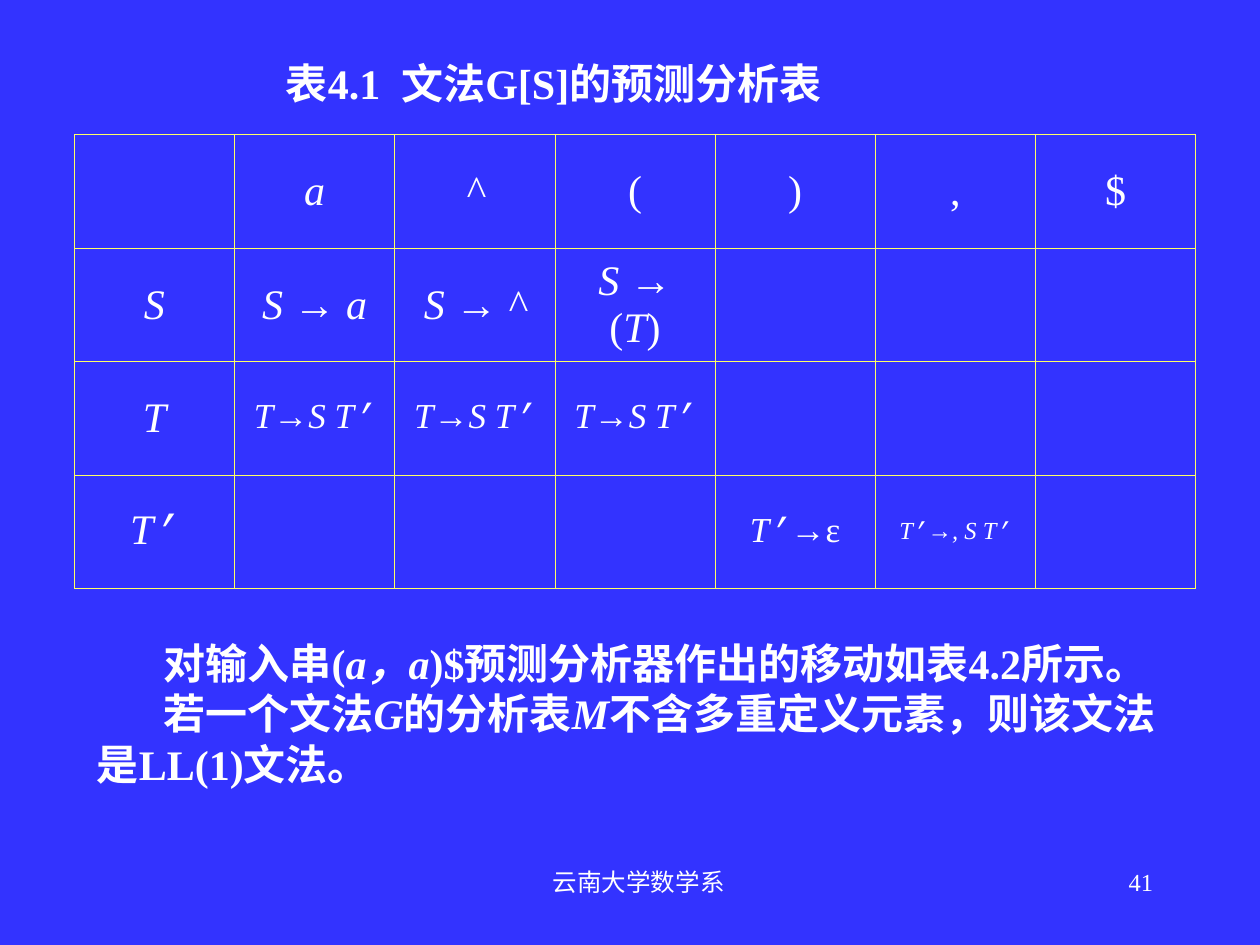
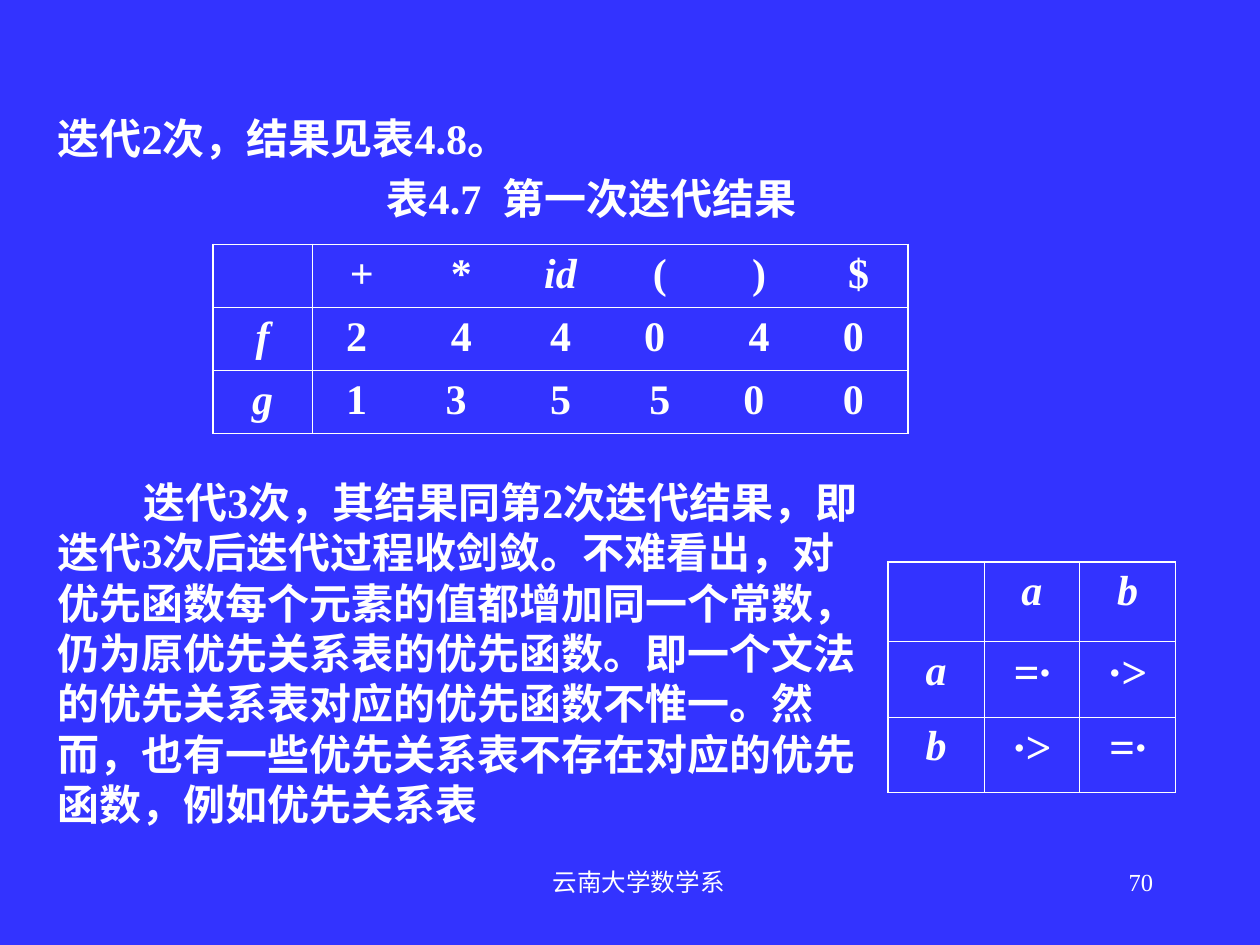
from dataclasses import dataclass, field
from itertools import groupby

from lxml.etree import SubElement
from pptx import Presentation
from pptx.dml.color import RGBColor
from pptx.enum.text import MSO_ANCHOR, PP_ALIGN
from pptx.oxml.ns import qn
from pptx.util import Inches, Pt

BLUE = "3333FF"
WHITE = "FFFFFF"
YELLOW = "FFFF66"
TEXT_FONT = "Times New Roman"
PRIME_FONT = "Courier New"
PRIME = "’"
THIN = 0.45
THICK = 1.08


@dataclass
class Line:
    """One paragraph; underscores in its text switch italics on and off."""
    text: str
    size: float = 24
    bold: bool = True
    format: dict = field(default_factory=dict)
    first_indent: float = 0


@dataclass
class TextBox:
    """A wrapped text box, measured in inches."""
    left: float
    top: float
    width: float
    height: float
    lines: list[Line]
    anchor: MSO_ANCHOR = MSO_ANCHOR.TOP


@dataclass
class Grid:
    """A ruled table with equal columns, measured in inches."""
    left: float
    top: float
    width: float
    row_heights: list[float]
    rows: list[list[str]]
    line_color: str = WHITE
    outer_line: float = THICK
    inner_verticals: tuple[int, ...] = (1,)
    bold: bool = True
    anchor: MSO_ANCHOR = MSO_ANCHOR.TOP
    sizes: dict[str, float] = field(default_factory=dict)


def color(value: str) -> RGBColor:
    """Turn a hex string into a colour."""
    return RGBColor.from_string(value)


def apply_format(target, values: dict) -> None:
    """Set every attribute listed in a dict."""
    for name, value in values.items():
        setattr(target, name, value)


def write_line(paragraph, line: Line) -> None:
    """Fill a paragraph with runs, giving primes their own font."""
    apply_format(paragraph, line.format)
    properties = paragraph._p.get_or_add_pPr()
    properties.set("hangingPunct", "0")
    if line.first_indent:
        properties.set("marL", "0")
        properties.set("indent", str(Inches(line.first_indent)))
    for position, part in enumerate(line.text.split("_")):
        for is_prime, letters in groupby(part, lambda letter: letter == PRIME):
            run = paragraph.add_run()
            run.text = "".join(letters)
            apply_format(run.font, {
                "name": PRIME_FONT if is_prime else TEXT_FONT,
                "size": Pt(line.size),
                "bold": line.bold,
                "italic": position % 2 == 1,
            })
            run.font.color.rgb = color(WHITE)


def draw_text(slide, box: TextBox) -> None:
    """Add a text box to a slide."""
    shape = slide.shapes.add_textbox(
        *(Inches(value) for value in (box.left, box.top, box.width, box.height)))
    frame = shape.text_frame
    apply_format(frame, {"word_wrap": True, "vertical_anchor": box.anchor})
    for index, line in enumerate(box.lines):
        paragraph = frame.add_paragraph() if index else frame.paragraphs[0]
        write_line(paragraph, line)


def draw_border(cell, side: str, width: float, line_color: str, order: int) -> None:
    """Rule one side of a cell, or clear it when the width is zero."""
    properties = cell._tc.get_or_add_tcPr()
    border = SubElement(properties, qn(f"a:ln{side}"), w=str(Pt(width)))
    if width:
        fill = SubElement(border, qn("a:solidFill"))
        SubElement(fill, qn("a:srgbClr"), val=line_color)
    else:
        SubElement(border, qn("a:noFill"))
    properties.insert(order, border)


def draw_grid(slide, grid: Grid) -> None:
    """Add a table with its cell text and ruling."""
    row_count, column_count = len(grid.rows), len(grid.rows[0])
    table = slide.shapes.add_table(
        row_count, column_count, Inches(grid.left), Inches(grid.top),
        Inches(grid.width), Inches(sum(grid.row_heights))).table
    apply_format(table, {"first_row": False, "horz_banding": False})
    for column in table.columns:
        column.width = Inches(grid.width / column_count)

    def horizontal(edge: int) -> float:
        """Give the line width above a row."""
        return grid.outer_line if edge in (0, row_count) else THIN

    def vertical(edge: int) -> float:
        """Give the line width left of a column."""
        if edge in (0, column_count):
            return grid.outer_line
        return THIN if edge in grid.inner_verticals else 0

    for row, texts in enumerate(grid.rows):
        table.rows[row].height = Inches(grid.row_heights[row])
        for column, text in enumerate(texts):
            cell = table.cell(row, column)
            cell.vertical_anchor = grid.anchor
            cell.fill.background()
            widths = {"L": vertical(column), "R": vertical(column + 1),
                      "T": horizontal(row), "B": horizontal(row + 1)}
            for order, (side, width) in enumerate(widths.items()):
                draw_border(cell, side, width, grid.line_color, order)
            if text:
                write_line(cell.text_frame.paragraphs[0], Line(
                    text, grid.sizes.get(text, 24), grid.bold,
                    {"alignment": PP_ALIGN.CENTER}))


def add_slide(presentation, number: int):
    """Add a blue slide with its footer and number."""
    slide = presentation.slides.add_slide(presentation.slide_layouts[6])
    slide.background.fill.solid()
    slide.background.fill.fore_color.rgb = color(BLUE)
    for left, width, text, alignment in (
            (3.41, 3.32, "云南大学数学系", PP_ALIGN.CENTER),
            (7.17, 2.08, str(number), PP_ALIGN.RIGHT)):
        footer = Line(text, 14, False, {"alignment": alignment})
        draw_text(slide, TextBox(left, 6.83, width, 0.5, [footer]))
    return slide


def build_parsing_table(presentation) -> None:
    """Build the slide with the predictive parsing table."""
    slide = add_slide(presentation, 41)
    draw_text(slide, TextBox(2.17, 0.45, 4.96, 0.47, [
        Line("表4.1  文法G[S]的预测分析表", format={"line_spacing": 0.9})]))
    derive = "_T→S T’_"
    draw_grid(slide, Grid(
        0.59, 1.07, 8.9, [0.9] * 4,
        [["", "_a_", "_^_", "(", ")", ",", "$"],
         ["_S_", "_S → a_", "_S → ^_", "_S → _(_T_)", "", "", ""],
         ["_T_", derive, derive, derive, "", "", ""],
         ["_T’_", "", "", "", "_T’→_ε", "_T’→, S T’_", ""]],
        line_color=YELLOW, outer_line=THIN, inner_verticals=tuple(range(1, 7)),
        bold=False, anchor=MSO_ANCHOR.MIDDLE,
        sizes={derive: 20, "_T’→_ε": 20, "_T’→, S T’_": 14}))
    draw_text(slide, TextBox(0.67, 5.01, 8.82, 1.3, [
        Line("对输入串(_a，a_)$预测分析器作出的移动如表4.2所示。", first_indent=0.53),
        Line("若一个文法_G_的分析表_M_不含多重定义元素，则该文法是LL(1)文法。",
             first_indent=0.53),
    ], MSO_ANCHOR.MIDDLE))


def build_precedence_functions(presentation) -> None:
    """Build the slide with the precedence function iteration."""
    slide = add_slide(presentation, 70)
    draw_text(slide, TextBox(0.36, 0.84, 8.67, 1.31, [
        Line("迭代2次，结果见表4.8。"),
        Line("表4.7  第一次迭代结果",
             format={"alignment": PP_ALIGN.CENTER, "space_before": Pt(6)}),
    ]))
    draw_grid(slide, Grid(
        1.69, 1.94, 5.52, [0.5] * 3,
        [["", "+", "*", "_id_", "(", ")", "$"],
         ["_f_", "2 ", "4", "4", "0 ", "4", "0 "],
         ["_g_", "1 ", "3 ", "5", "5", "0 ", "0 "]]))
    draw_text(slide, TextBox(0.36, 3.73, 6.69, 2.9, [Line(
        "迭代3次，其结果同第2次迭代结果，即迭代3次后迭代过程收剑敛。"
        "不难看出，对优先函数每个元素的值都增加同一个常数，仍为原优先关系表的优先函数。"
        "即一个文法的优先关系表对应的优先函数不惟一。"
        "然而，也有一些优先关系表不存在对应的优先函数，例如优先关系表",
        first_indent=0.68)], MSO_ANCHOR.MIDDLE))
    equal, greater = "_=·_", "_·>_"
    draw_grid(slide, Grid(
        7.05, 4.46, 2.28, [0.63, 0.6, 0.6],
        [["", "_a_", "_b_"], ["_a_", equal, greater], ["_b_", greater, equal]],
        inner_verticals=(1, 2), sizes={equal: 26, greater: 26}))


def main() -> None:
    """Build and save the presentation."""
    presentation = Presentation()
    apply_format(presentation, {"slide_width": Inches(10), "slide_height": Inches(7.5)})
    build_parsing_table(presentation)
    build_precedence_functions(presentation)
    presentation.save("out.pptx")


if __name__ == "__main__":
    main()
